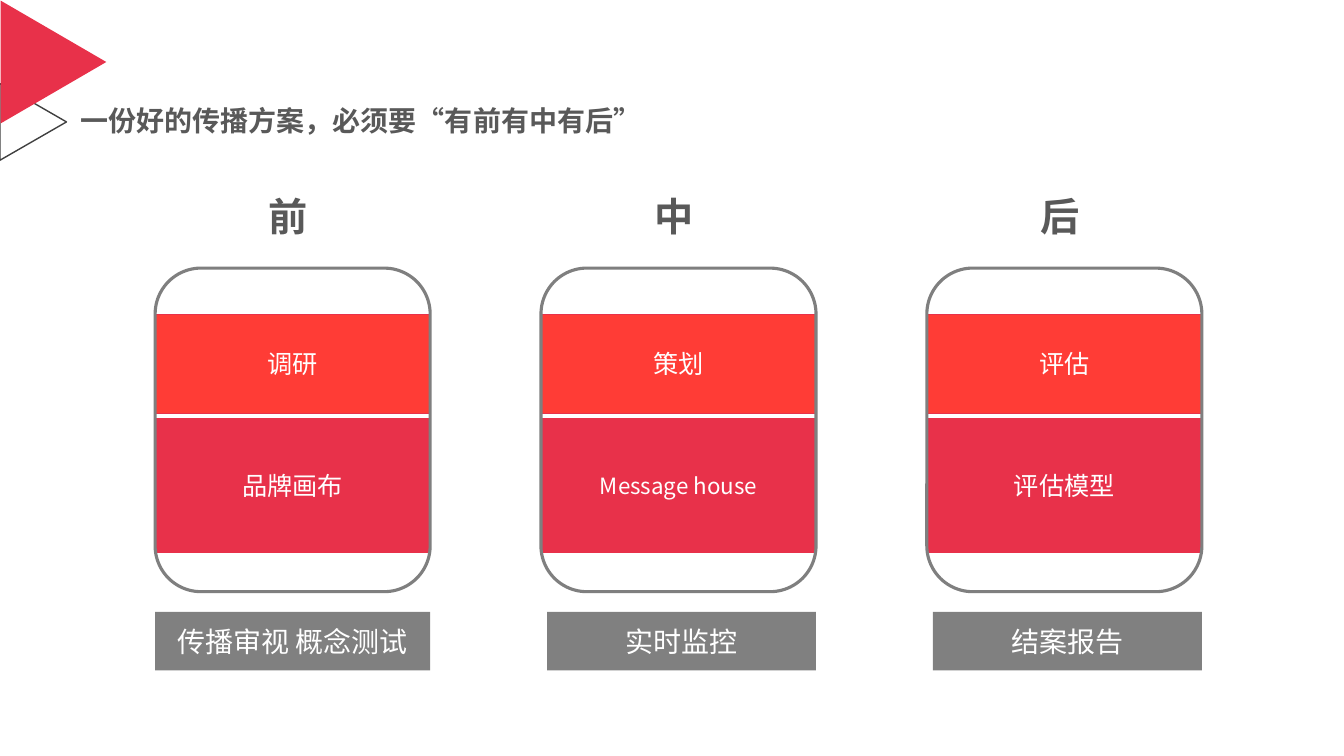
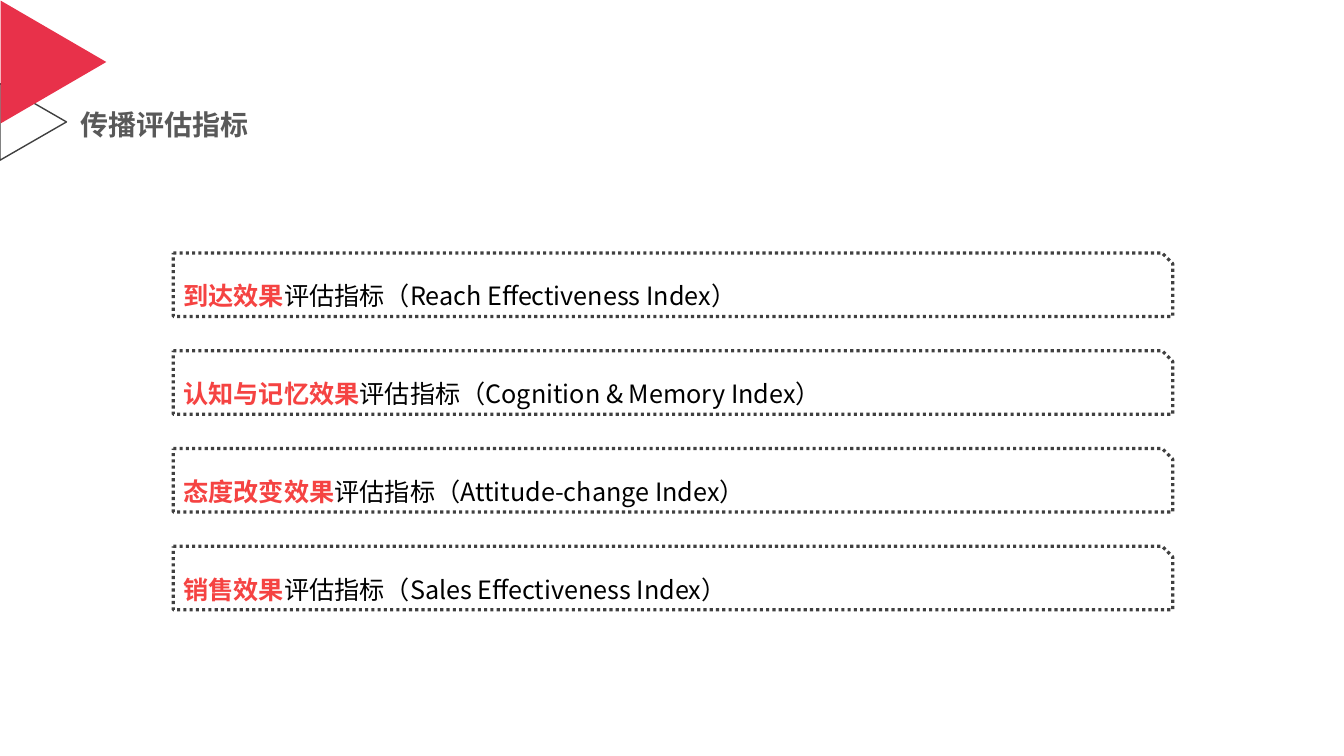
from typing import NamedTuple

from lxml.etree import SubElement
from pptx import Presentation
from pptx.dml.color import RGBColor
from pptx.enum.dml import MSO_LINE_DASH_STYLE as Dash
from pptx.enum.shapes import MSO_SHAPE as Preset
from pptx.enum.text import MSO_ANCHOR as Anchor, MSO_AUTO_SIZE as AutoSize, PP_ALIGN as Align
from pptx.oxml.ns import qn
from pptx.util import Inches, Pt

FONT = "Noto Sans CJK SC"
CRIMSON = RGBColor(0xE8, 0x31, 0x4A)
SCARLET = RGBColor(0xFF, 0x3C, 0x36)
CORAL = RGBColor(0xF5, 0x43, 0x42)
INK = RGBColor(0x59, 0x59, 0x59)
OUTLINE = RGBColor(0x40, 0x40, 0x40)
FRAME = RGBColor(0x7F, 0x7F, 0x7F)
BAR = RGBColor(0x80, 0x80, 0x80)
WHITE = RGBColor(0xFF, 0xFF, 0xFF)
BLACK = RGBColor(0, 0, 0)

WIDTH, HEIGHT = Inches(13.34), Inches(7.5)
COL, ROW = WIDTH / 133.4, HEIGHT / 75

PHASES = [
    ("前", "调研", "品牌画布", 18, "传播审视 概念测试", 27.3),
    ("中", "策划", "Message house", 16, "实时监控", 26.7),
    ("后", "评估", "评估模型", 18, "结案报告", 26.7),
]
INDICES = [
    ("到达效果", "评估指标（Reach Effectiveness Index）"),
    ("认知与记忆效果", "评估指标（Cognition & Memory Index）"),
    ("态度改变效果", "评估指标（Attitude-change Index）"),
    ("销售效果", "评估指标（Sales Effectiveness Index）"),
]


class Box(NamedTuple):
    col: float
    row: float
    cols: float
    rows: float

    def inner(self, col, row, cols, rows):
        return Box(self.col + col, self.row + row, cols, rows)

    def emu(self):
        return (round(self.col * COL), round(self.row * ROW),
                round(self.cols * COL), round(self.rows * ROW))


PAGE = Box(0, 0, 133.4, 75)


def write(paragraph, content, size=18, color=INK, bold=False, align=Align.LEFT, spacing=None):
    paragraph.alignment = align
    paragraph.space_before = Pt(0)
    if spacing:
        paragraph.line_spacing = spacing
    run = paragraph.add_run()
    run.text = content
    font = run.font
    font.size, font.bold, font.name = Pt(size), bold, FONT
    font.color.rgb = color
    SubElement(run.font._element, qn("a:ea")).set("typeface", FONT)


def set_frame(frame, anchor, side=0.1, edge=0.05):
    frame.word_wrap = True
    frame.auto_size = AutoSize.NONE
    frame.vertical_anchor = anchor
    frame.margin_left = frame.margin_right = Inches(side)
    frame.margin_top = frame.margin_bottom = Inches(edge)


def draw(slide, preset, box, fill=None, line=None, weight=1, dash=None):
    shape = slide.shapes.add_shape(preset, *box.emu())
    shape.shadow.inherit = False
    if fill:
        shape.fill.solid()
        shape.fill.fore_color.rgb = fill
    else:
        shape.fill.background()
    if line:
        shape.line.color.rgb = line
        shape.line.width = Pt(weight)
        if dash:
            shape.line.dash_style = dash
    else:
        shape.line.fill.background()
    return shape


def label_block(slide, box, content, fill, size=18, line=None):
    block = draw(slide, Preset.RECTANGLE, box, fill, line, 0.75)
    set_frame(block.text_frame, Anchor.MIDDLE, 0.13, 0.07)
    write(block.text_frame.paragraphs[0], content, size=size, color=WHITE, align=Align.CENTER)


def place(shape, box):
    shape.left, shape.top, shape.width, shape.height = box.emu()


def corner_to_master(prs, slide):
    tree = prs.slide_master.element.cSld.spTree
    for box, fill, line in [
        (PAGE.inner(-0.5, 8.8, 7.6, 6.6), None, OUTLINE),
        (PAGE.inner(-0.8, 0.9, 12.2, 10.5), CRIMSON, None),
    ]:
        triangle = draw(slide, Preset.ISOSCELES_TRIANGLE, box, fill, line)
        triangle.rotation = 90
        tree.append(triangle.element)


def set_title(slide, content, row):
    title = slide.shapes.title
    place(title, PAGE.inner(7, row, 60, 4.1))
    set_frame(title.text_frame, Anchor.MIDDLE)
    write(title.text_frame.paragraphs[0], content, size=20, bold=True, spacing=0.9)


def phase_column(slide, box, phase, activity, tool, tool_size, result, result_cols):
    heading = slide.shapes.add_textbox(*box.inner(10.3, 0, 6.7, 5.6).emu())
    set_frame(heading.text_frame, Anchor.TOP)
    write(heading.text_frame.paragraphs[0], phase, size=28, bold=True, spacing=0.9)
    label_block(slide, box.inner(0, 12.1, box.cols, 9.8), activity, SCARLET, line=CRIMSON)
    label_block(slide, box.inner(0, 22.4, box.cols, 13.3), tool, CRIMSON, tool_size, CRIMSON)
    draw(slide, Preset.ROUNDED_RECTANGLE, box.inner(0, 7.5, box.cols, 32.1), line=FRAME, weight=2.25)
    label_block(slide, box.inner(box.cols - result_cols, 41.6, result_cols, 5.8), result, BAR, 20)


def phases_slide(slide):
    set_title(slide, "一份好的传播方案，必须要“有前有中有后”", 10.1)
    for i, phase in enumerate(PHASES):
        phase_column(slide, PAGE.inner(15.4 + 38.3 * i, 19.1, 27.3, 47.4), *phase)


def index_list(slide, box):
    body = slide.placeholders[1]
    place(body, box.inner(0, -4, 97.9, 38.9))
    frame = body.text_frame
    set_frame(frame, Anchor.BOTTOM, edge=0)
    for i, (effect, index) in enumerate(INDICES):
        paragraph = frame.add_paragraph() if i else frame.paragraphs[0]
        properties = paragraph._p.get_or_add_pPr()
        properties.set("marL", "0")
        properties.set("indent", "0")
        SubElement(properties, qn("a:buNone"))
        write(paragraph, effect, color=CORAL, bold=True, spacing=Pt(70))
        write(paragraph, index, color=BLACK, spacing=Pt(70))
        draw(slide, Preset.SNIP_1_RECTANGLE, box.inner(0, 9.7 * i, box.cols, 6.3),
             line=OUTLINE, weight=2.25, dash=Dash.ROUND_DOT)


def indices_slide(slide):
    set_title(slide, "传播评估指标", 10.5)
    index_list(slide, PAGE.inner(17.2, 25.1, 99.2, 35.4))


def main():
    prs = Presentation()
    prs.slide_width, prs.slide_height = WIDTH, HEIGHT
    phases = prs.slides.add_slide(prs.slide_layouts[5])
    corner_to_master(prs, phases)
    phases_slide(phases)
    indices_slide(prs.slides.add_slide(prs.slide_layouts[1]))
    prs.save("out.pptx")


if __name__ == "__main__":
    main()
